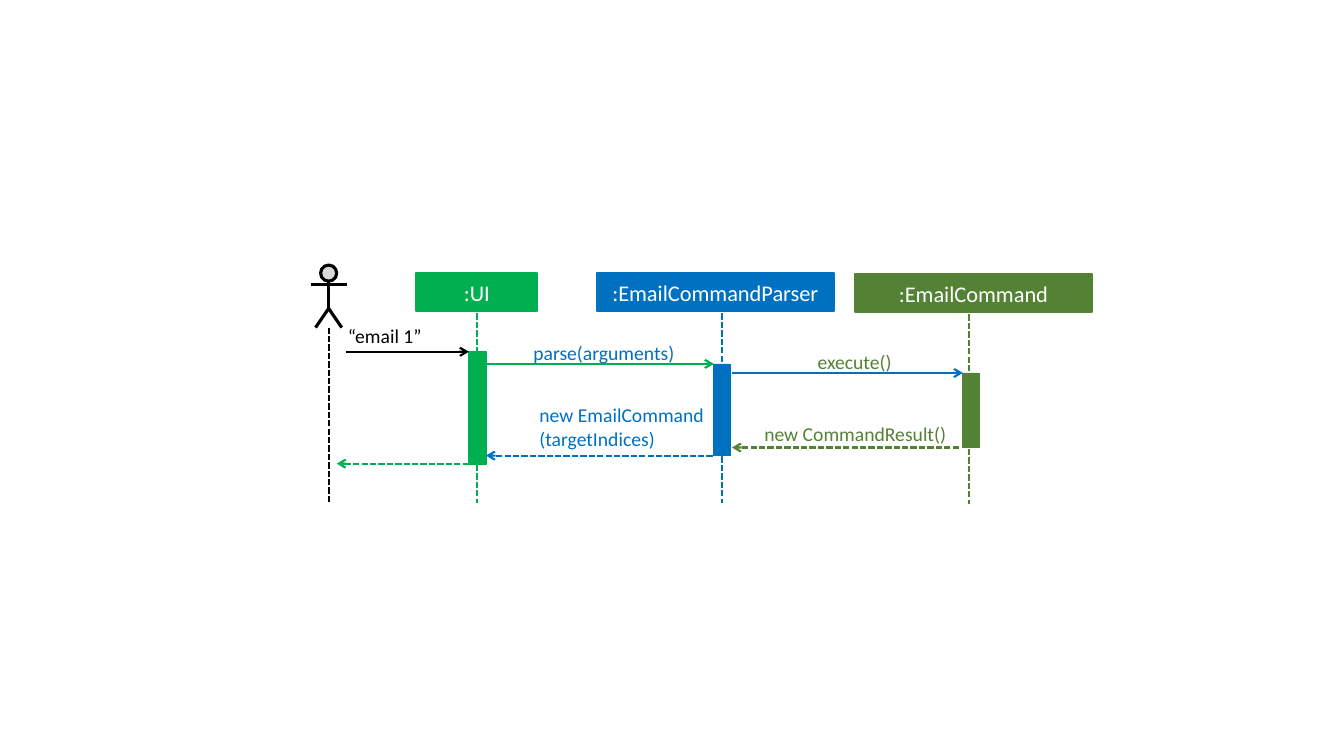
from lxml import etree
from pptx import Presentation
from pptx.dml.color import RGBColor
from pptx.enum import dml, shapes, text
from pptx.oxml import ns
from pptx.util import Inches, Pt

BLACK = RGBColor(0x00, 0x00, 0x00)
WHITE = RGBColor(0xFF, 0xFF, 0xFF)
GREY = RGBColor(0xD9, 0xD9, 0xD9)
GREEN = RGBColor(0x00, 0xB0, 0x50)
BLUE = RGBColor(0x00, 0x70, 0xC0)
OLIVE = RGBColor(0x54, 0x82, 0x35)

prs = Presentation()
prs.slide_width, prs.slide_height = Inches(13.33), Inches(7.5)
slide = prs.slides.add_slide(prs.slide_layouts[6])


def draw_line(canvas, start, end, color, width=1.5, dashed=False, arrow=False):
    points = [Inches(value) for value in (*start, *end)]
    line = canvas.add_connector(shapes.MSO_CONNECTOR.STRAIGHT, *points)
    line.line.color.rgb = color
    line.line.width = Pt(width)
    if dashed:
        line.line.dash_style = dml.MSO_LINE.SQUARE_DOT  # stored as sysDash
    properties = line.element.spPr
    if arrow:
        outline = properties.find(ns.qn("a:ln"))
        etree.SubElement(outline, ns.qn("a:tailEnd"), type="arrow")
    etree.SubElement(properties, ns.qn("a:effectLst"))


def draw_shape(canvas, kind, box, fill, border, width):
    shape = canvas.add_shape(kind, *[Inches(value) for value in box])
    shape.shadow.inherit = False
    shape.fill.solid()
    shape.fill.fore_color.rgb = fill
    shape.line.color.rgb = border
    shape.line.width = Pt(width)
    return shape


# User as a stick figure, with a lifeline
user_x = 3.26
user = slide.shapes.add_group_shape().shapes
draw_shape(user, shapes.MSO_SHAPE.FLOWCHART_CONNECTOR,
           (user_x - 0.08, 2.63, 0.16, 0.16), GREY, BLACK, 2.25)
draw_line(user, (user_x, 2.78), (user_x, 3.06), BLACK, 2.25)
draw_line(user, (user_x - 0.18, 2.82), (user_x + 0.18, 2.82), BLACK, 2.25)
outline = user.build_freeform(Inches(user_x - 0.13), Inches(3.25))
outline.add_line_segments([(Inches(user_x), Inches(3.06)),
                           (Inches(user_x + 0.13), Inches(3.25))], close=False)
legs = outline.convert_to_shape()
legs.shadow.inherit = False
legs.fill.background()
legs.line.color.rgb = BLACK
legs.line.width = Pt(2.25)
draw_line(slide.shapes, (user_x, 3.25), (user_x, 4.99), BLACK, dashed=True)

# Participants: name, colour, header left, top and width, lifeline x, activation box
participants = [
    (":UI", GREEN, 4.13, 2.71, 1.2, 4.73, (4.65, 3.49, 0.17, 1.12)),
    (":EmailCommandParser", BLUE, 5.92, 2.71, 2.35, 7.16, (7.08, 3.61, 0.16, 0.91)),
    (":EmailCommand", OLIVE, 8.48, 2.72, 2.35, 9.61, (9.55, 3.7, 0.16, 0.74)),
]
for name, color, left, top, width, life_x, activation in participants:
    header = draw_shape(slide.shapes, shapes.MSO_SHAPE.RECTANGLE,
                        (left, top, width, 0.38), color, color, 1.5)
    header.text_frame.text = name
    header.text_frame.vertical_anchor = text.MSO_ANCHOR.MIDDLE
    title = header.text_frame.paragraphs[0]
    title.alignment = text.PP_ALIGN.CENTER
    title.font.name, title.font.size = "Calibri", Pt(16)
    title.font.color.rgb = WHITE
    draw_line(slide.shapes, (life_x, top + 0.4), (life_x, top + 2.28), color, dashed=True)
    draw_shape(slide.shapes, shapes.MSO_SHAPE.RECTANGLE, activation, color, color, 0.5)

# Messages run from sender to receiver; replies are dashed
messages = [
    (3.43, 4.65, 3.49, BLACK, False),
    (4.82, 7.08, 3.61, GREEN, False),
    (7.26, 9.55, 3.7, BLUE, False),
    (9.51, 7.26, 4.44, OLIVE, True),
    (7.07, 4.82, 4.52, BLUE, True),
    (4.65, 3.34, 4.6, GREEN, True),
]
for sender_x, receiver_x, y, color, reply in messages:
    draw_line(slide.shapes, (sender_x, y), (receiver_x, y), color, dashed=reply, arrow=True)

# Message labels
labels = [
    ("“email 1”", 3.45, 3.21, 1.14, 0.24, BLACK),
    ("parse(arguments)", 5.29, 3.38, 1.56, 0.24, BLUE),
    ("execute()", 8.11, 3.47, 1.56, 0.24, OLIVE),
    ("new EmailCommand\n(targetIndices)", 5.35, 4, 1.7, 0.47, BLUE),
    ("new CommandResult()", 7.58, 4.19, 2.25, 0.24, OLIVE),
]
frame_format = {"margin_left": 0, "margin_right": 0, "margin_top": 0, "margin_bottom": 0,
                "word_wrap": True, "auto_size": text.MSO_AUTO_SIZE.SHAPE_TO_FIT_TEXT}
for wording, left, top, width, height, color in labels:
    label = slide.shapes.add_textbox(*[Inches(v) for v in (left, top, width, height)])
    for attribute, value in frame_format.items():
        setattr(label.text_frame, attribute, value)
    label.text_frame.text = wording
    for paragraph in label.text_frame.paragraphs:
        paragraph.font.name, paragraph.font.size = "Calibri", Pt(14)
        paragraph.font.color.rgb = color

prs.save("out.pptx")
